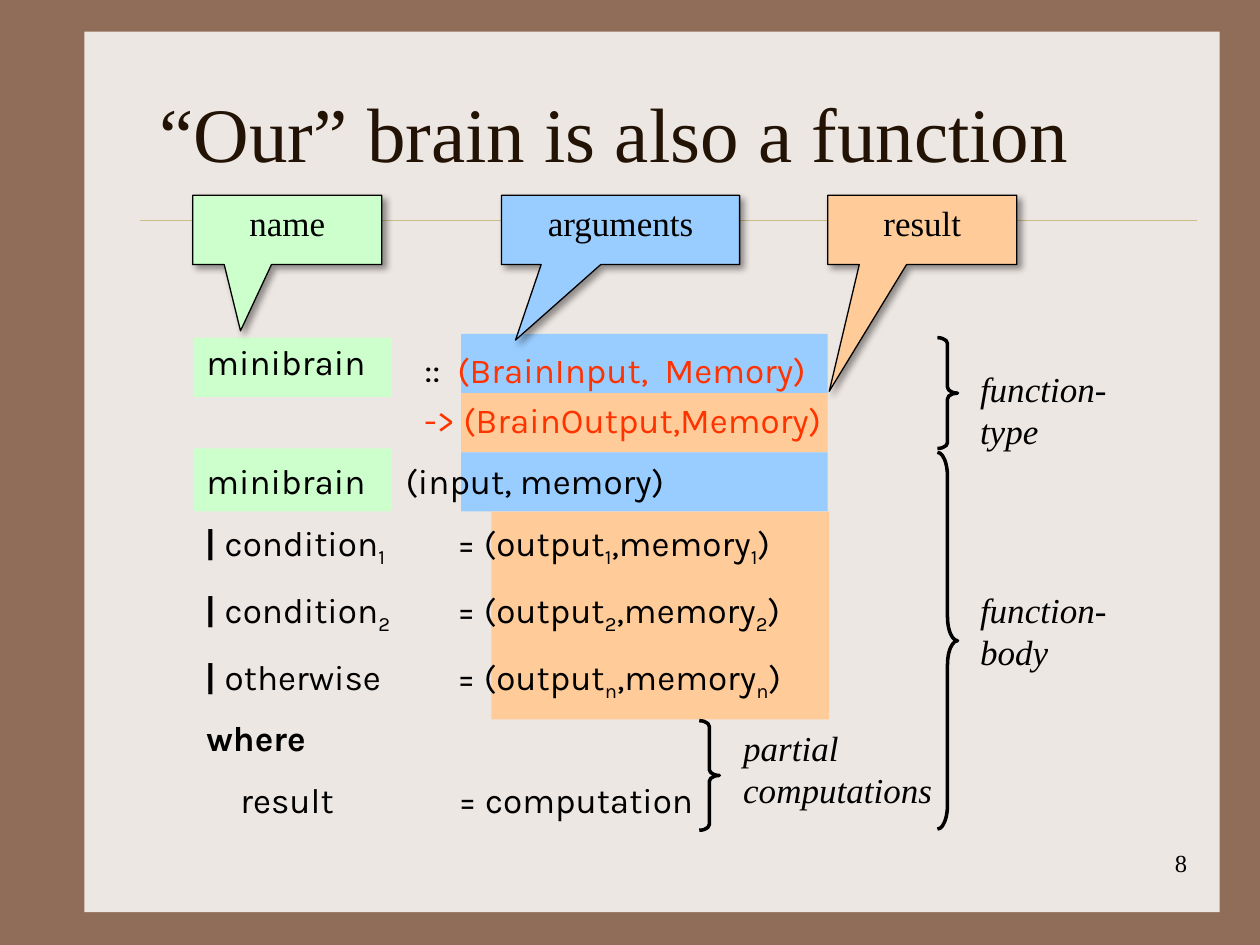
from dataclasses import dataclass
from typing import Optional

from lxml.etree import SubElement
from pptx import Presentation
from pptx.dml.color import RGBColor
from pptx.enum.shapes import MSO_SHAPE as Preset
from pptx.enum.text import MSO_ANCHOR as Anchor, PP_ALIGN as Align
from pptx.oxml.ns import qn
from pptx.util import Inches, Pt

BROWN = RGBColor(0x90, 0x6D, 0x58)
PAPER = RGBColor(0xED, 0xE7, 0xE3)
GOLD = RGBColor(0xCB, 0xBD, 0x83)
TITLE_BROWN = RGBColor(0x22, 0x13, 0x04)
BLACK = RGBColor(0, 0, 0)
RED = RGBColor(0xFF, 0x33, 0x00)
BLUE = RGBColor(0x99, 0xCC, 0xFF)
ORANGE = RGBColor(0xFF, 0xCC, 0x99)
GREEN = RGBColor(0xCC, 0xFF, 0xCC)
SERIF = "Times New Roman"
CODE = "Karla"


@dataclass(frozen=True)
class Box:
    left: float
    top: float
    width: float
    height: float

    def lengths(self) -> list:
        return [Inches(v) for v in (self.left, self.top, self.width, self.height)]


@dataclass(frozen=True)
class Band:
    box: Box
    colour: RGBColor


@dataclass(frozen=True)
class Callout:
    text: str
    left: float
    width: float
    colour: RGBColor
    tip: tuple


@dataclass(frozen=True)
class Brace:
    box: Box
    curve: float
    label: str
    label_box: Box


@dataclass(frozen=True)
class Piece:
    text: str
    bold: bool = False
    subscript: bool = False
    colour: RGBColor = BLACK


@dataclass(frozen=True)
class CodeBlock:
    box: Box
    lines: list
    spacing: Optional[float] = None


def add_preset(slide, preset, box: Box, fill=None, line_width=None):
    shape = slide.shapes.add_shape(preset, *box.lengths())
    shape.shadow.inherit = False
    if fill is None:
        shape.fill.background()
    else:
        shape.fill.solid()
        shape.fill.fore_color.rgb = fill
    if line_width is None:
        shape.line.fill.background()
    else:
        shape.line.color.rgb = BLACK
        shape.line.width = Pt(line_width)
    return shape


def style_run(run, font: str, size: float, colour=BLACK, bold=False, italic=False) -> None:
    run.font.name = font
    run.font.size = Pt(size)
    run.font.color.rgb = colour
    run.font.bold = bold
    run.font.italic = italic


def write(frame, text: str, size: float, colour=BLACK, align=Align.LEFT, italic=False) -> None:
    frame.word_wrap = True
    frame.text = text
    for paragraph in frame.paragraphs:
        paragraph.alignment = align
        for run in paragraph.runs:
            style_run(run, SERIF, size, colour, italic=italic)


def add_text(slide, box: Box, text: str, size: float, **style):
    shape = slide.shapes.add_textbox(*box.lengths())
    write(shape.text_frame, text, size, **style)
    return shape


def add_callout(slide, callout: Callout) -> None:
    box = Box(callout.left, 1.55, callout.width, 0.55)
    shape = add_preset(slide, Preset.RECTANGULAR_CALLOUT, box, callout.colour, 0.75)
    shape.adjustments[0], shape.adjustments[1] = callout.tip
    shape.text_frame.vertical_anchor = Anchor.TOP
    write(shape.text_frame, callout.text, 20, align=Align.CENTER)
    effects = shape._element.spPr.find(qn("a:effectLst"))
    shadow = SubElement(effects, qn("a:outerShdw"), blurRad=str(Pt(4)),
                        dist=str(Pt(3)), dir=str(45 * 60000), algn="tl", rotWithShape="0")
    colour = SubElement(shadow, qn("a:srgbClr"), val=str(BLACK))
    SubElement(colour, qn("a:alpha"), val="40000")


def add_brace(slide, brace: Brace) -> None:
    shape = add_preset(slide, Preset.RIGHT_BRACE, brace.box, line_width=2)
    shape.adjustments[0], shape.adjustments[1] = brace.curve, 0.5
    add_text(slide, brace.label_box, brace.label, 20, italic=True)


def set_tab_stops(paragraph, stops: list) -> None:
    tabs = SubElement(paragraph._p.get_or_add_pPr(), qn("a:tabLst"))
    for stop in stops:
        SubElement(tabs, qn("a:tab"), pos=str(Inches(stop)), algn="l")


def add_code(slide, block: CodeBlock) -> None:
    frame = slide.shapes.add_textbox(*block.box.lengths()).text_frame
    frame.word_wrap = True
    for index, (stops, pieces) in enumerate(block.lines):
        paragraph = frame.add_paragraph() if index else frame.paragraphs[0]
        paragraph.line_spacing = block.spacing
        if index:
            paragraph.space_before = Pt(11)
        set_tab_stops(paragraph, stops)
        for piece in pieces:
            if piece.text == "\n":
                paragraph.add_line_break()
                continue
            run = paragraph.add_run()
            run.text = piece.text
            style_run(run, CODE, 20, piece.colour, piece.bold)
            if piece.subscript:
                run.font._element.set("baseline", "-25000")


def guard(condition: str, index: str, numbered: bool) -> tuple:
    suffix = Piece(index, subscript=True)
    pieces = [Piece("| ", bold=True), Piece(condition)]
    pieces += [suffix] if numbered else []
    pieces += [Piece("\t= (output"), suffix, Piece(",memory"), suffix, Piece(")")]
    return [2], pieces


BANDS = [
    *(Band(Box(3.66, 2.65 + 0.47 * row, 2.91, 0.47), colour)
      for row, colour in enumerate((BLUE, ORANGE, BLUE))),
    Band(Box(1.54, 2.68, 1.57, 0.47), GREEN),
    Band(Box(1.54, 3.56, 1.57, 0.5), GREEN),
    *(Band(Box(3.9, 4.06 + 0.55 * row, 2.68, 0.55), ORANGE) for row in range(3)),
]
CALLOUTS = [
    Callout("name", 1.53, 1.5, GREEN, (-0.247, 1.456)),
    Callout("arguments", 3.98, 1.89, BLUE, (-0.441, 1.589)),
    Callout("result", 6.57, 1.5, ORANGE, (-0.492, 2.328)),
]
BRACES = [
    Brace(Box(7.44, 2.68, 0.16, 0.88), 0.291, "function-type", Box(7.68, 2.87, 1.6, 0.77)),
    Brace(Box(7.44, 3.59, 0.16, 2.99), 1.205, "function-\nbody", Box(7.68, 4.62, 1.6, 0.77)),
    Brace(Box(5.55, 5.72, 0.16, 0.87), 0.291, "partial computations",
          Box(5.8, 5.72, 1.72, 0.77)),
]
CODE_BLOCKS = [
    *(CodeBlock(Box(1.54, top, 1.57, 0.44), [([], [Piece("minibrain")])])
      for top in (2.65, 3.6)),
    CodeBlock(Box(3.27, 2.65, 3.62, 0.91), [([], [
        Piece("::  "), Piece("(BrainInput,  Memory)", colour=RED), Piece("\n"),
        Piece("-> (BrainOutput,Memory)", colour=RED)])], 1.2),
    CodeBlock(Box(1.53, 3.6, 5.35, 1.95), [
        ([1.59], [Piece("\t(input, memory)")]),
        guard("condition", "1", True),
        guard("condition", "2", True),
        guard("otherwise", "n", False)]),
    CodeBlock(Box(1.54, 5.64, 4.17, 0.94), [
        ([], [Piece("where", bold=True)]),
        ([0.27, 2], [Piece("\tresult\t= computation")])]),
]

presentation = Presentation()
presentation.slide_width, presentation.slide_height = Inches(10), Inches(7.5)
slide = presentation.slides.add_slide(presentation.slide_layouts[6])
slide.background.fill.solid()
slide.background.fill.fore_color.rgb = BROWN
add_preset(slide, Preset.RECTANGLE, Box(0.67, 0.25, 9.01, 6.99), PAPER)
rule = slide.shapes.add_connector(1, Inches(1.11), Inches(1.75), Inches(9.5), Inches(1.75))
rule.line.color.rgb = GOLD
rule.line.width = Pt(0.25)
SubElement(rule._element.spPr, qn("a:effectLst"))
add_text(slide, Box(7.44, 6.68, 2.08, 0.5), "8", 14, align=Align.RIGHT)
title = add_text(slide, Box(1.17, 0.42, 8.33, 1.25), "“Our” brain is also a function", 44,
                 colour=TITLE_BROWN)
title.text_frame.vertical_anchor = Anchor.MIDDLE
for band in BANDS:
    add_preset(slide, Preset.RECTANGLE, band.box, band.colour)
for callout in CALLOUTS:
    add_callout(slide, callout)
for brace in BRACES:
    add_brace(slide, brace)
for block in CODE_BLOCKS:
    add_code(slide, block)
presentation.save("out.pptx")
